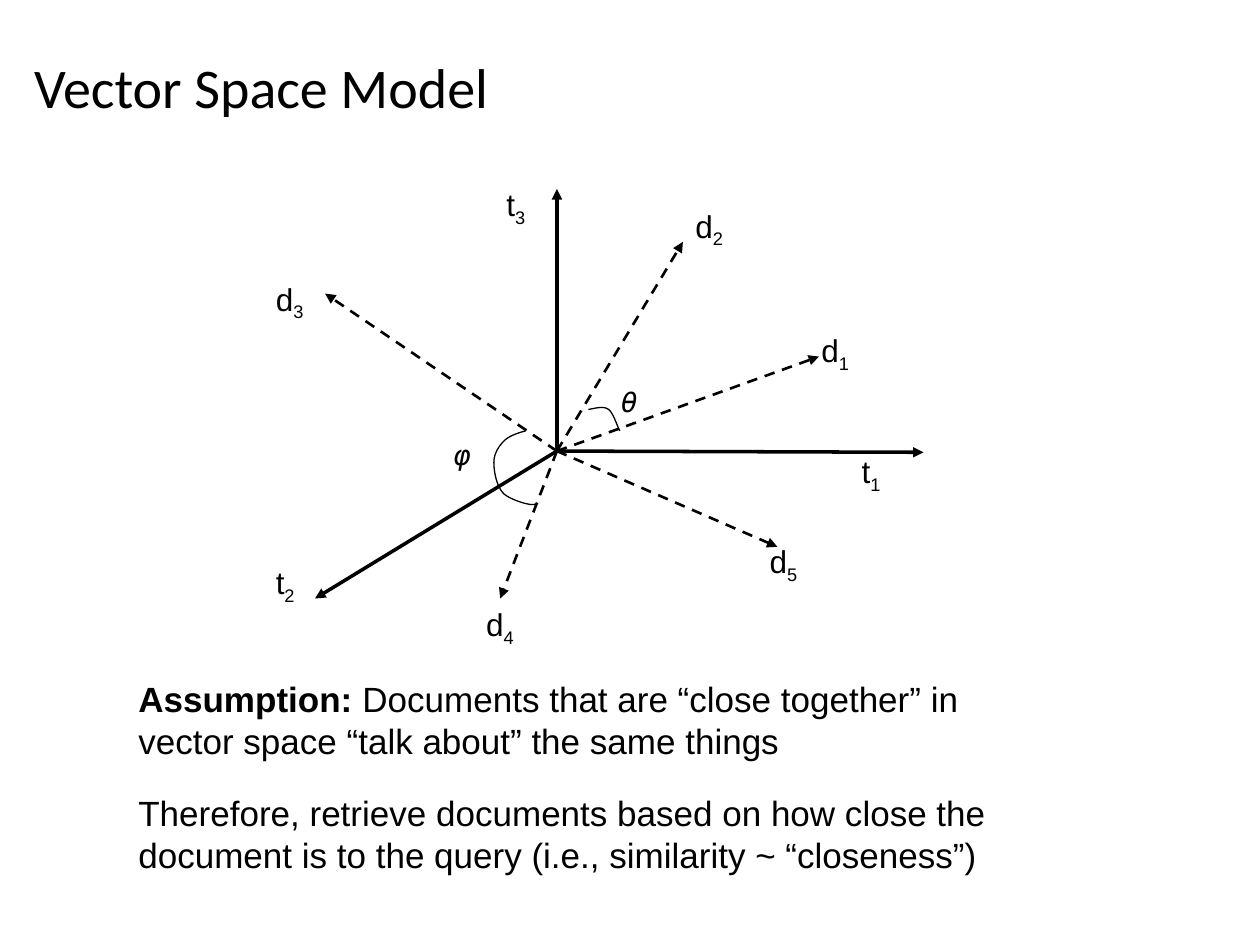
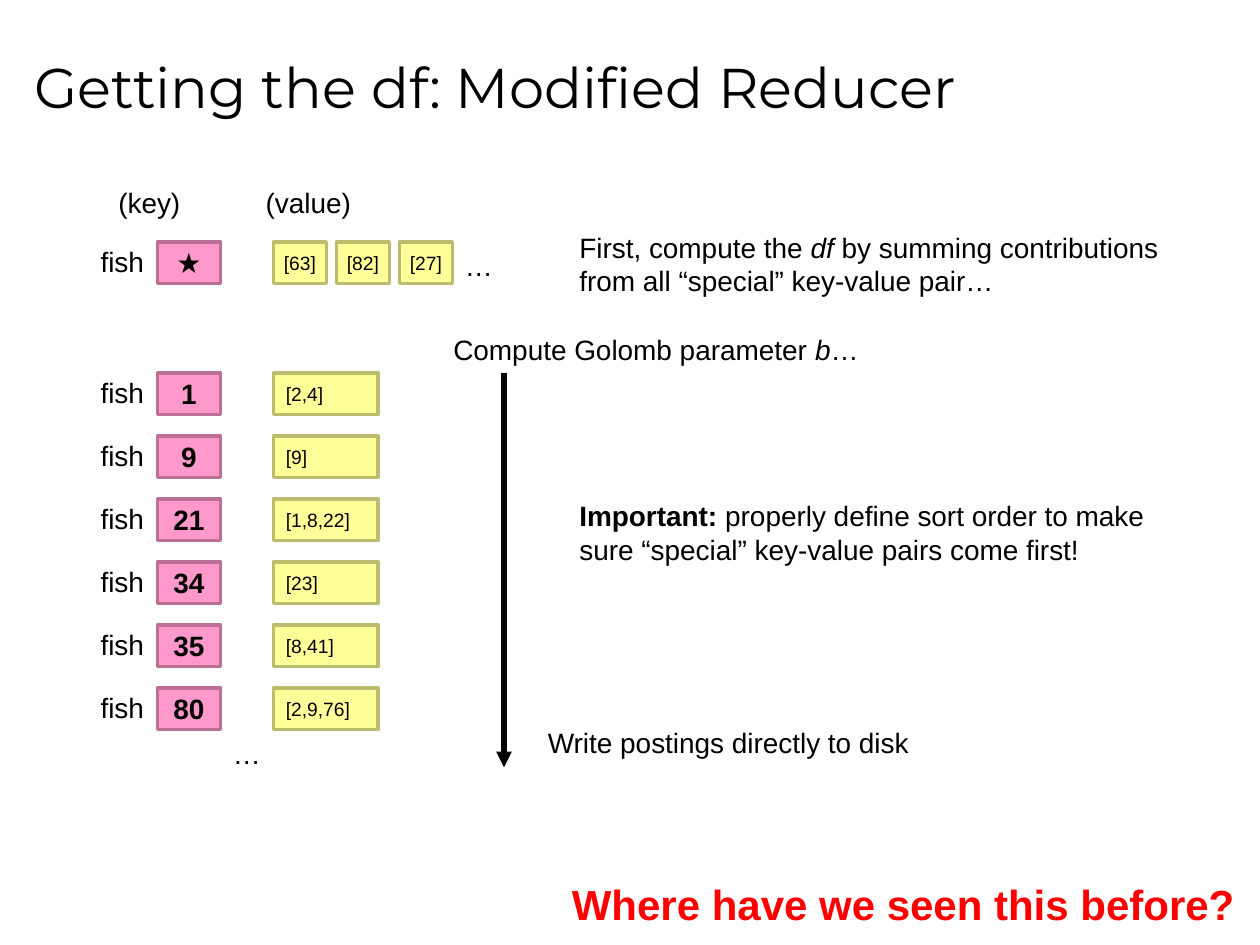
import lxml.etree
import pptx
import pptx.dml.color
import pptx.enum.dml
import pptx.enum.shapes
import pptx.enum.text
import pptx.oxml.ns
import pptx.util

Inches, Pt = pptx.util.Inches, pptx.util.Pt
qn = pptx.oxml.ns.qn
ALIGN = pptx.enum.text.PP_ALIGN
ANCHOR = pptx.enum.text.MSO_ANCHOR

BLACK, RED = "000000", "FF0000"
PINK, PINK_EDGE = "FF99CC", "BC6F95"
YELLOW, YELLOW_EDGE = "FFFF99", "BCBC6F"


def rgb(hex_color):
    return pptx.dml.color.RGBColor.from_string(hex_color)


def write(tf, text, size=16, font="Arial", color=BLACK, bold=False, italic=False,
          align=ALIGN.LEFT, anchor=ANCHOR.TOP, wrap=True, inset=0.1):
    """Fill a frame with a string or with (text, overrides) runs."""
    tf.word_wrap = wrap
    tf.auto_size = pptx.enum.text.MSO_AUTO_SIZE.NONE
    tf.vertical_anchor = anchor
    tf.margin_left = tf.margin_right = Inches(inset)
    tf.margin_top = tf.margin_bottom = Inches(0.05)
    p = tf.paragraphs[0]
    p.alignment = align
    for part, changes in [(text, {})] if isinstance(text, str) else text:
        r = p.add_run()
        r.text = part
        r.font.name, r.font.size = font, Pt(size)
        r.font.color.rgb = rgb(color)
        r.font.bold = changes.get("bold", bold)
        r.font.italic = changes.get("italic", italic)
        if "baseline" in changes:
            r._r.get_or_add_rPr().set("baseline", str(changes["baseline"] * 1000))


def bezier(points, steps=12):
    """Points along a chain of cubic curves that share their end points."""
    result = [points[0]]
    for i in range(0, len(points) - 1, 3):
        curve = points[i:i + 4]
        for step in range(1, steps + 1):
            t = step / steps
            weights = ((1 - t) ** 3, 3 * t * (1 - t) ** 2, 3 * t * t * (1 - t), t ** 3)
            result.append(tuple(sum(w * pt[axis] for w, pt in zip(weights, curve))
                                for axis in (0, 1)))
    return result


class Deck:
    def __init__(self):
        self.prs = pptx.Presentation()
        self.prs.slide_width, self.prs.slide_height = Inches(10), Inches(7.5)
        self.s = None

    def slide(self, title, font):
        self.s = self.prs.slides.add_slide(self.prs.slide_layouts[5])
        sp = self.s.shapes.title
        sp.left, sp.top, sp.width, sp.height = map(Inches, (0.17, 0.12, 9.5, 1.12))
        write(sp.text_frame, title, size=32, font=font, anchor=ANCHOR.MIDDLE)

    def text(self, x, y, w, h, text, **fmt):
        sp = self.s.shapes.add_textbox(*map(Inches, (x, y, w, h)))
        write(sp.text_frame, text, **fmt)

    def box(self, x, y, w, text, fill, edge, **fmt):
        sp = self.s.shapes.add_shape(pptx.enum.shapes.MSO_SHAPE.RECTANGLE,
                                     *map(Inches, (x, y, w, 0.33)))
        sp.shadow.inherit = False
        sp.fill.solid()
        sp.fill.fore_color.rgb = rgb(fill)
        sp.line.color.rgb = rgb(edge)
        sp.line.width = Pt(2)
        write(sp.text_frame, text, anchor=ANCHOR.MIDDLE, **fmt)

    def key(self, y, text):
        self.text(0.7, y - 0.03, 0.54, 0.37, "fish", wrap=False)
        self.box(1.25, y, 0.5, text, PINK, PINK_EDGE, bold=True, align=ALIGN.CENTER)

    def value(self, x, y, w, text, **fmt):
        self.box(x, y, w, text, YELLOW, YELLOW_EDGE, size=11, **fmt)

    def arrow(self, start, end, width, dashed=False):
        sp = self.s.shapes.add_connector(pptx.enum.shapes.MSO_CONNECTOR.STRAIGHT,
                                         *map(Inches, start + end))
        sp.line.color.rgb = rgb(BLACK)
        sp.line.width = Pt(width)
        if dashed:
            sp.line.dash_style = pptx.enum.dml.MSO_LINE.DASH
        lxml.etree.SubElement(sp.line._get_or_add_ln(), qn("a:tailEnd"), type="triangle")
        lxml.etree.SubElement(sp._element.spPr, qn("a:effectLst"))

    def arc(self, points):
        first, *rest = [tuple(map(Inches, pt)) for pt in bezier(points)]
        builder = self.s.shapes.build_freeform(*first)
        builder.add_line_segments(rest, close=False)
        sp = builder.convert_to_shape()
        sp.shadow.inherit = False
        sp.fill.background()
        sp.line.color.rgb = rgb(BLACK)
        sp.line.width = Pt(0.75)


def vector_space(deck):
    deck.slide("Vector Space Model", "Calibri")

    # Term axes and document vectors: name, arrow tip, label corner
    origin = (4.42, 3.58)
    vectors = [
        ("t1", (7.33, 3.59), (6.74, 3.54)),
        ("t2", (2.5, 4.75), (2.09, 4.42)),
        ("t3", (4.42, 1.5), (3.92, 1.42)),
        ("d1", (6.5, 2.83), (6.42, 2.58)),
        ("d2", (5.42, 1.92), (5.42, 1.59)),
        ("d3", (2.58, 2.33), (2.09, 2.17)),
        ("d4", (3.97, 4.75), (3.76, 4.75)),
        ("d5", (6.17, 4.34), (6.01, 4.25)),
    ]
    for (letter, index), tip, (x, y) in vectors:
        is_term = letter == "t"
        deck.arrow(origin, tip, 2 if is_term else 1.5, dashed=not is_term)
        deck.text(x, y, 0.35 if is_term else 0.42, 0.44,
                  [(letter, {}), (index, {"baseline": -25})], size=18, wrap=False)

    # Angles
    deck.arc([(4.67, 3.25), (4.73, 3.24), (4.79, 3.22), (4.83, 3.25),
              (4.87, 3.28), (4.9, 3.39), (4.92, 3.42)])
    deck.arc([(4.17, 3.42), (4.1, 3.44), (4.04, 3.46), (4, 3.5),
              (3.96, 3.54), (3.92, 3.6), (3.92, 3.67),
              (3.92, 3.74), (3.94, 3.86), (4, 3.92),
              (4.06, 3.97), (4.22, 4.02), (4.25, 4)])
    for x, y, angle in [(4.83, 3, "θ"), (3.5, 3.42, "φ")]:
        deck.text(x, y, 0.3, 0.37, angle, font="DejaVu Sans Mono", italic=True)

    # Conclusions
    deck.text(1, 5.33, 7.5, 0.77, [
        ("Assumption: ", {"bold": True}),
        ("Documents that are “close together” in vector space "
         "“talk about” the same things", {})], size=20)
    deck.text(1, 6.23, 7.5, 0.77,
              "Therefore, retrieve documents based on how close the document is "
              "to the query (i.e., similarity ~ “closeness”)", size=20)


def modified_reducer(deck):
    deck.slide("Getting the df: Modified Reducer", "Montserrat")
    deck.text(0.84, 1.42, 0.69, 0.37, "(key)", wrap=False)
    deck.text(2.01, 1.42, 0.88, 0.37, "(value)", wrap=False)

    # Special key with its partial counts
    deck.key(1.92, "★")
    for i, count in enumerate(["[63]", "[82]", "[27]"]):
        deck.value(2.17 + 0.5 * i, 1.92, 0.42, count, align=ALIGN.CENTER, inset=0)
    deck.text(3.59, 1.92, 0.42, 0.37, "…", wrap=False)

    # Postings
    postings = [("1", "[2,4]"), ("9", "[9]"), ("21", "[1,8,22]"),
                ("34", "[23]"), ("35", "[8,41]"), ("80", "[2,9,76]")]
    for i, (doc, positions) in enumerate(postings):
        y = 2.96 + 0.5 * i
        deck.key(y, doc)
        deck.value(2.17, y, 0.83, positions)
    deck.text(1.75, 5.8, 0.42, 0.37, "…", wrap=False)

    # Steps
    deck.arrow((4, 2.96), (4, 6.09), 3)
    deck.text(4.5, 1.78, 5, 0.64, [
        ("First, compute the ", {}), ("df", {"italic": True}),
        (" by summing contributions from all “special” key-value pair…", {})])
    deck.text(3.5, 2.59, 3.83, 0.37, [
        ("Compute Golomb parameter ", {}), ("b", {"italic": True}), ("…", {})])
    deck.text(4.5, 3.91, 4.83, 0.64, [
        ("Important: ", {"bold": True}),
        ("properly define sort order to make sure “special” "
         "key-value pairs come first!", {})])
    deck.text(4.25, 5.71, 3.42, 0.37, "Write postings directly to disk")
    deck.text(4.44, 6.92, 5.46, 0.5, "Where have we seen this before?",
              size=24, color=RED, bold=True, wrap=False)


def main():
    deck = Deck()
    vector_space(deck)
    modified_reducer(deck)
    deck.prs.save("out.pptx")


if __name__ == "__main__":
    main()
